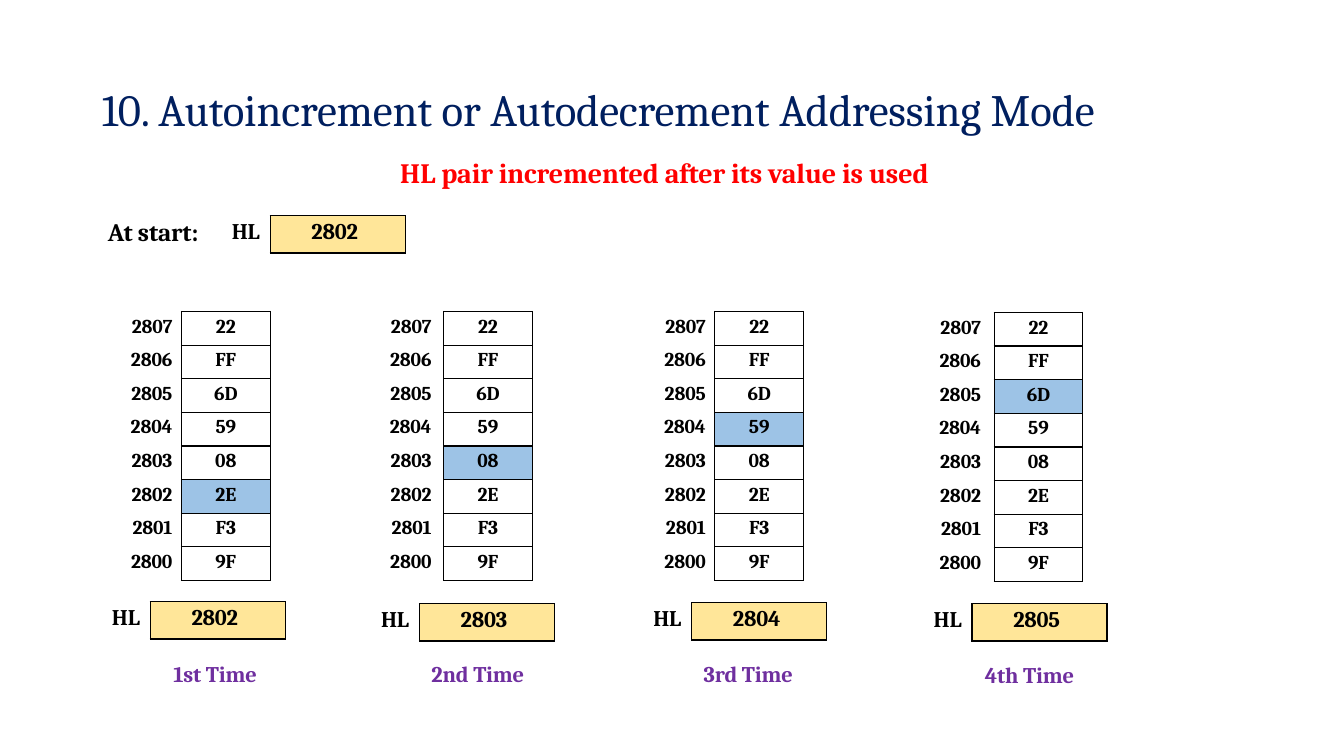
from dataclasses import dataclass

from lxml import etree
from pptx import Presentation
from pptx.dml import color
from pptx.enum import text
from pptx.oxml import ns
from pptx.util import Inches, Pt


@dataclass(frozen=True)
class Theme:
    face: str = "Cambria"
    black: str = "000000"
    navy: str = "001F5F"
    red: str = "FF0000"
    plum: str = "6F2F9F"
    blue: str = "9DC3E6"
    sand: str = "FFE699"
    head: int = 32
    lead: int = 20
    start: int = 18
    label: int = 16
    cell: int = 14


THEME = Theme()
BARE = "{2D5ABB26-0587-4C30-8999-92F81FD0307C}"
BYTES = ["22", "FF", "6D", "59", "08", "2E", "F3", "9F"]
TOP = 0x2807
MEMORY = [(1.1, 3.09, 0.09), (3.7, 3.09, 0.12), (6.39, 3.09, 0.09), (9.16, 3.1, 0.13)]
PAIRS = [(0.97, 5.97), (3.64, 5.99), (6.34, 5.98), (9.12, 5.99)]
TIMES = [("1st Time", 1.71, 6.54), ("2nd Time", 4.27, 6.54),
         ("3rd Time", 6.97, 6.54), ("4th Time", 9.76, 6.55)]


def apply(item, values):
    for name, value in values.items():
        setattr(item, name, value)


def write(frame, words, size, tint, bold=True, align=text.PP_ALIGN.LEFT):
    para = frame.paragraphs[0]
    para.alignment = align
    run = para.add_run()
    run.text = words
    apply(run.font, {"name": THEME.face, "size": Pt(size), "bold": bold})
    run.font.color.rgb = color.RGBColor.from_string(tint)
    run.font._element.set("spc", "-10")


def place(shape, box):
    sides = ("left", "top", "width", "height")
    apply(shape, dict(zip(sides, map(Inches, box))))
    apply(shape.text_frame, {
        "margin_left": Inches(0.01), "margin_top": Inches(0.01),
        "margin_right": 0, "margin_bottom": 0, "word_wrap": True,
        "auto_size": text.MSO_AUTO_SIZE.NONE,
        "vertical_anchor": text.MSO_ANCHOR.TOP})


def label(slide, words, box, size, tint):
    shape = slide.shapes.add_textbox(0, 0, 0, 0)
    place(shape, box)
    write(shape.text_frame, words, size, tint)


def border(cell):
    props = cell._tc.get_or_add_tcPr()
    for spot, side in enumerate(("lnL", "lnR", "lnT", "lnB")):
        line = etree.Element(ns.qn("a:" + side), w=str(Pt(1)))
        fill = etree.SubElement(line, ns.qn("a:solidFill"))
        etree.SubElement(fill, ns.qn("a:srgbClr"), val=THEME.black)
        props.insert(spot, line)


def fill(cell, tint):
    if tint:
        cell.fill.solid()
        cell.fill.fore_color.rgb = color.RGBColor.from_string(tint)
    else:
        cell.fill.background()


def grid(slide, rows, left, top, widths, height):
    frame = slide.shapes.add_table(
        rows, 2, Inches(left), Inches(top), Inches(sum(widths)), Inches(height))
    table = frame.table
    apply(table, {"first_row": False, "horz_banding": False})
    table._tbl.tblPr[0].text = BARE
    for col, width in zip(table.columns, widths):
        col.width = Inches(width)
    for cell in table.iter_cells():
        apply(cell, {"margin_left": 0, "margin_right": 0,
                     "margin_top": Inches(0.04), "margin_bottom": 0})
    return table


def memory(slide, left, top, gap, used):
    table = grid(slide, len(BYTES), left, top, (0.7, 0.88), 2.67)
    for row, byte in enumerate(BYTES):
        place_no = TOP - row
        name, value = table.cell(row, 0), table.cell(row, 1)
        name.margin_right = Inches(gap)
        write(name.text_frame, f"{place_no:X}", THEME.cell, THEME.black,
              align=text.PP_ALIGN.RIGHT)
        write(value.text_frame, byte, THEME.cell, THEME.black,
              align=text.PP_ALIGN.CENTER)
        fill(name, None)
        fill(value, THEME.blue if place_no == used else None)
        border(value)


def pair(slide, left, top, value):
    table = grid(slide, 1, left, top, (0.52, 1.34), 0.37)
    parts = (("HL", 0.14, None), (f"{value:X}", 0.41, THEME.sand))
    for col, (words, inset, tint) in enumerate(parts):
        cell = table.cell(0, col)
        cell.margin_left = Inches(inset)
        write(cell.text_frame, words, THEME.label, THEME.black)
        fill(cell, tint)
    border(table.cell(0, 1))


def main():
    deck = Presentation()
    apply(deck, {"slide_width": Inches(13.33), "slide_height": Inches(7.5)})
    slide = deck.slides.add_slide(deck.slide_layouts[5])
    title = slide.shapes.title
    place(title, (1, 0.8, 10.51, 0.55))
    write(title.text_frame, "10. Autoincrement or Autodecrement Addressing Mode",
          THEME.head, THEME.navy, bold=False)
    label(slide, "HL pair incremented after its value is used",
          (3.96, 1.53, 5.41, 0.35), THEME.lead, THEME.red)
    label(slide, "At start:", (1.06, 2.14, 1, 0.32), THEME.start, THEME.black)
    first = 0x2802
    pair(slide, 2.16, 2.14, first)
    for step, (store, spot, time) in enumerate(zip(MEMORY, PAIRS, TIMES)):
        memory(slide, *store, first + step)
        pair(slide, *spot, first + step)
        words, left, top = time
        label(slide, words, (left, top, 1, 0.27), THEME.label, THEME.plum)
    deck.save("out.pptx")


if __name__ == "__main__":
    main()
